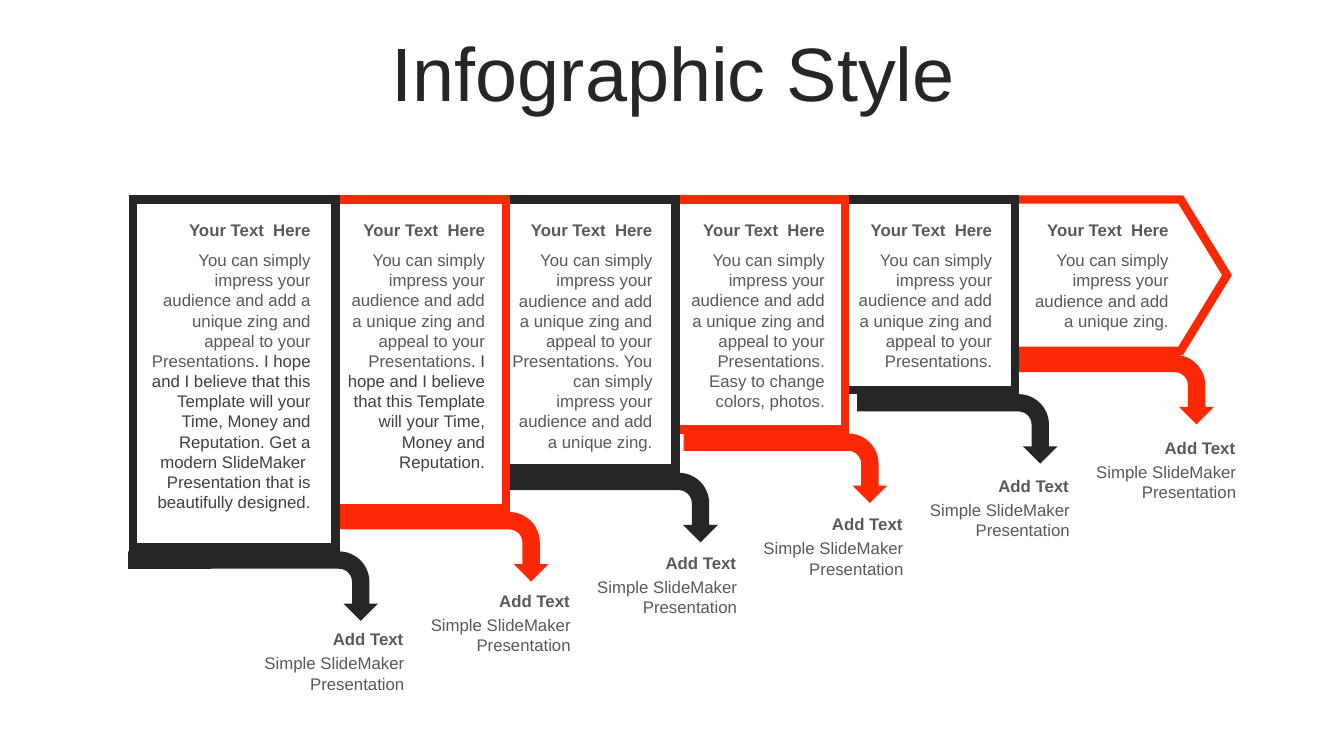
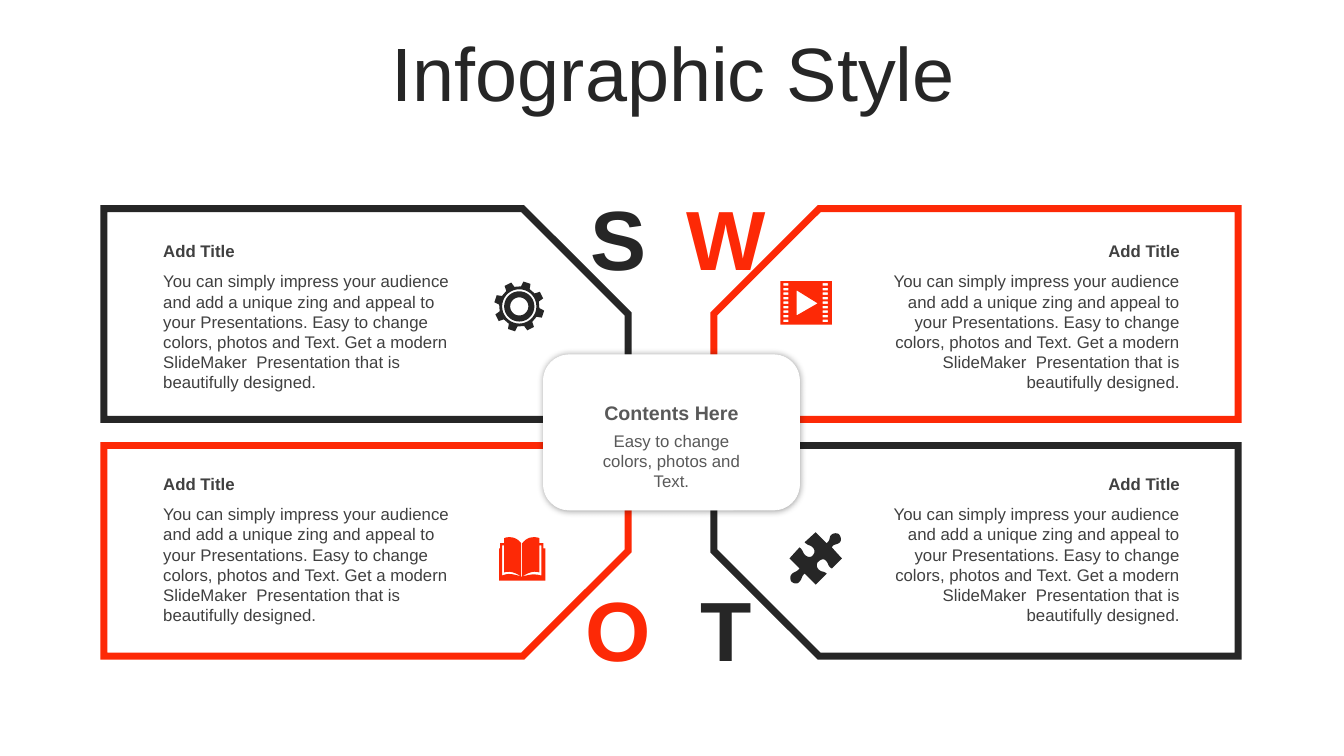
from math import cos, sin, radians
from lxml import etree
from pptx import Presentation
from pptx.dml.color import RGBColor
from pptx.enum.shapes import MSO_SHAPE
from pptx.enum.text import MSO_ANCHOR, PP_ALIGN
from pptx.oxml.ns import qn
from pptx.util import Inches, Pt

# Shared look
DARK, RED, WHITE, GREY, SOFT = "262626", "FD2906", "FFFFFF", "595959", "404040"
FONT = "Arial"
LEFT, MID, RIGHT = PP_ALIGN.LEFT, PP_ALIGN.CENTER, PP_ALIGN.RIGHT
TITLE = "Infographic Style"

# Slide 1 content: panel left, panel right, text left, text width, arrow length, runs
ZING = "You can simply impress your audience and add a unique zing"
APPEAL = ZING + " and appeal to your Presentations"
HOPE = ". I hope and I believe that this Template will your Time, Money and Reputation."
MODERN = " Get a modern SlideMaker  Presentation that is beautifully designed."
STEPS = [
    (1.32, 3.33, 1.39, 1.79, 2.48, [(APPEAL, GREY), (HOPE + MODERN, SOFT)]),
    (2.85, 5.02, 3.31, 1.60, 2.17, [(APPEAL, GREY), (HOPE, SOFT)]),
    (4.53, 6.70, 4.98, 1.59, 2.10, [(f"{APPEAL}. {ZING}.", GREY)]),
    (6.21, 8.38, 6.66, 1.62, 2.02, [(APPEAL + ". Easy to change colors, photos.", GREY)]),
    (7.90, 10.07, 8.37, 1.57, 1.99, [(APPEAL + ".", GREY)]),
    (9.84, 12.17, 10.10, 1.59, 1.97, [(ZING + ".", GREY)]),
]
STEP_HEAD = "Your Text  Here"
NOTE_HEAD, NOTE = "Add Text", "SlideMaker"
NOTE = f"Simple {NOTE} Presentation"

# Slide 2 content: letter, column, row, colour
SWOT = [("S", 0, 0, DARK), ("W", 1, 0, RED), ("O", 0, 1, RED), ("T", 1, 1, DARK)]
SWOT_HEAD = "Add Title"
SWOT_TEXT = APPEAL + ". Easy to change colors, photos and Text." + MODERN
HUB_HEAD, HUB_TEXT = "Contents Here", "Easy to change colors, photos and Text."

# Icon outlines: a pair is a line end, six numbers are a curve
BOOK = [
    (5.17, 5.72), (5.18, 5.72), (5.26, 5.7, 5.29, 5.69, 5.37, 5.71),
    (5.37, 5.41), (5.35, 5.41), (5.35, 5.68), (5.3, 5.66, 5.24, 5.68, 5.18, 5.72),
    (5.18, 5.39), (5.21, 5.35, 5.25, 5.33, 5.29, 5.33),
    (5.31, 5.33, 5.33, 5.33, 5.35, 5.34), (5.35, 5.39), (5.39, 5.39),
    (5.39, 5.44), (5.41, 5.44), (5.41, 5.76), (4.95, 5.76), (4.95, 5.44),
    (4.96, 5.44), (4.96, 5.39), (5, 5.39), (5, 5.34),
    (5.02, 5.33, 5.04, 5.33, 5.06, 5.33), (5.1, 5.33, 5.14, 5.35, 5.17, 5.39),
    (5.17, 5.72), (5.11, 5.68, 5.05, 5.66, 5, 5.68), (5, 5.41), (4.98, 5.41),
    (4.98, 5.71), (5.05, 5.68, 5.1, 5.7, 5.17, 5.72),
]
PUZZLE = [
    (8.32, 5.3), (8.34, 5.32, 8.35, 5.36, 8.33, 5.38),
    (8.3, 5.41, 8.27, 5.39, 8.25, 5.43), (8.35, 5.54), (8.25, 5.64),
    (8.21, 5.62, 8.22, 5.59, 8.19, 5.56), (8.17, 5.54, 8.14, 5.55, 8.12, 5.57),
    (8.1, 5.58, 8.09, 5.62, 8.12, 5.65), (8.15, 5.68, 8.16, 5.66, 8.2, 5.69),
    (8.09, 5.8), (7.98, 5.69), (7.94, 5.73, 7.96, 5.74, 7.93, 5.77),
    (7.91, 5.8, 7.87, 5.79, 7.85, 5.77), (7.84, 5.76, 7.83, 5.72, 7.85, 5.7),
    (7.87, 5.67, 7.9, 5.68, 7.93, 5.64), (7.83, 5.54), (7.93, 5.43),
    (7.97, 5.46, 7.96, 5.49, 7.99, 5.51), (8.01, 5.53, 8.05, 5.53, 8.06, 5.51),
    (8.08, 5.49, 8.09, 5.46, 8.06, 5.43), (8.03, 5.4, 8.02, 5.42, 7.98, 5.38),
    (8.09, 5.28), (8.2, 5.39), (8.24, 5.35, 8.22, 5.34, 8.24, 5.31),
    (8.27, 5.28, 8.31, 5.29, 8.32, 5.3),
]


def color(code):
    return RGBColor.from_string(code)


def paint(item, fill, line=None, width=0):
    item.shadow.inherit = False
    item.fill.solid()
    item.fill.fore_color.rgb = color(fill)
    if line:
        item.line.color.rgb = color(line)
        item.line.width = Pt(width)
        miter = etree.SubElement(item.line._get_or_add_ln(), qn("a:miter"))
        miter.set("lim", "800000")
    else:
        item.line.fill.background()
    return item


def shape(slide, kind, x, y, w, h, fill, line=None, width=0, adj=None):
    item = slide.shapes.add_shape(kind, Inches(x), Inches(y), Inches(w), Inches(h))
    if adj is not None:
        item.adjustments[0] = adj
    return paint(item, fill, line, width)


def text(slide, x, y, w, h, runs, size=12, bold=False, align=LEFT,
         anchor=MSO_ANCHOR.TOP, before=0, spacing=1.0):
    box = slide.shapes.add_textbox(Inches(x), Inches(y), Inches(w), Inches(h))
    frame = box.text_frame
    frame.word_wrap = True
    frame.vertical_anchor = anchor
    para = frame.paragraphs[0]
    para.alignment = align
    para.space_before = Pt(before)
    para.line_spacing = spacing
    for words, code in runs:
        run = para.add_run()
        run.text = words
        run.font.name = FONT
        run.font.size = Pt(size)
        run.font.bold = bold
        run.font.color.rgb = color(code)


def start(deck):
    slide = deck.slides.add_slide(deck.slide_layouts[6])
    text(slide, 0.35, 0.37, 12.66, 0.79, [(TITLE, DARK)], 54, align=MID,
         anchor=MSO_ANCHOR.MIDDLE, before=10, spacing=0.9)
    return slide


# Icon geometry
def trace(nodes, count=6):
    points = [nodes[0]]
    for node in nodes[1:]:
        if len(node) == 2:
            points.append(node)
            continue
        ends = [points[-1], node[:2], node[2:4], node[4:]]
        for step in range(1, count + 1):
            t = step / count
            mix = ((1 - t) ** 3, 3 * t * (1 - t) ** 2, 3 * t * t * (1 - t), t ** 3)
            points.append(tuple(sum(m * p[axis] for m, p in zip(mix, ends))
                                for axis in (0, 1)))
    return points


def polar(x, y, radius, angle):
    return x + radius * cos(radians(angle)), y + radius * sin(radians(angle))


def gear(x, y):
    teeth = [polar(x, y, radius, 18 + 45 * tooth + turn) for tooth in range(8)
             for radius, turn in ((0.2, -13), (0.25, -8.5), (0.25, 8.5), (0.2, 13))]
    rings = [[polar(x, y, radius, angle) for angle in range(0, 360, 10)]
             for radius in (0.17, 0.15, 0.09)]
    return [teeth] + rings


def block(x, y, w, h):
    return [(x, y), (x + w, y), (x + w, y + h), (x, y + h)]


def film(x, y):
    holes = [block(x + dx, y + 0.02 + 0.045 * row, 0.05, 0.025)
             for row in range(9) for dx in (0.03, 0.42)]
    play = [(x + 0.16, y + 0.09), (x + 0.16, y + 0.34), (x + 0.37, y + 0.22)]
    return [block(x, y, 0.51, 0.43), play] + holes


def icon(slide, loops, fill):
    pen = None
    for loop in loops:
        spots = [(Inches(x), Inches(y)) for x, y in loop]
        if pen is None:
            pen = slide.shapes.build_freeform(*spots[0])
        else:
            pen.move_to(*spots[0])
        pen.add_line_segments(spots[1:], close=True)
    paint(pen.convert_to_shape(), fill)


def steps(deck):
    slide = start(deck)
    top, thick, reach = 1.98, 0.69, 0.42
    plan = [(index, 5.43 - 0.39 * index, (DARK, RED)[index % 2], step)
            for index, step in enumerate(STEPS)]
    # Arrows below the panels; the last panel is a pointer
    for index, base, tone, (_, right, _, _, size, _) in plan:
        tip = right + reach if index < 5 else 12.04
        arrow = shape(slide, MSO_SHAPE.BENT_ARROW, tip - (size + thick) / 2,
                      base + 0.04 + (thick - size) / 2, thick, size, tone)
        arrow.rotation = 90
    # Panels, each over the one to its right
    for index, base, tone, (left, right, *_) in reversed(plan):
        last = index == 5
        kind = MSO_SHAPE.PENTAGON if last else MSO_SHAPE.RECTANGLE
        shape(slide, kind, left, top, right - left, base - top, WHITE, tone, 6,
              0.306 if last else None)
    # Panel text and stepped captions
    for index, base, _, (_, _, x, w, _, runs) in plan:
        text(slide, x, 2.13, w, 0.3, [(STEP_HEAD, GREY)], bold=True, align=RIGHT)
        text(slide, x, 2.43, w, base - 2.7, runs, align=RIGHT)
        x, y = 2.25 + 1.65 * index, 6.19 - 0.38 * index
        text(slide, x, y, 1.85, 0.3, [(NOTE_HEAD, GREY)], bold=True, align=RIGHT)
        text(slide, x + 0.01, y + 0.24, 1.85, 0.5, [(NOTE, GREY)], align=RIGHT)


def glow(item):
    effects = item.element.spPr.find(qn("a:effectLst"))
    shade = etree.SubElement(effects, qn("a:outerShdw"), blurRad=str(Pt(5)), dist="0")
    tint = etree.SubElement(shade, qn("a:srgbClr"), val="000000")
    etree.SubElement(tint, qn("a:alpha"), val="40000")


def swot(deck):
    slide = start(deck)
    # Snipped frames, mirrored around the centre
    for _, col, row, tone in SWOT:
        frame = shape(slide, MSO_SHAPE.SNIP_1_RECTANGLE, 1.03 + 6.05 * col,
                      2.07 + 2.35 * row, 5.2, 2.09, WHITE, tone, 5, 0.5)
        xfrm = frame.element.spPr.get_or_add_xfrm()
        xfrm.set("flipH", str(col))
        xfrm.set("flipV", str(row))
    # Centre card
    glow(shape(slide, MSO_SHAPE.ROUNDED_RECTANGLE, 5.39, 3.52, 2.54, 1.54,
               WHITE, WHITE, 0.5))
    text(slide, 5.74, 3.93, 1.84, 0.28, [(HUB_HEAD, GREY)], 14, True, MID, before=3)
    text(slide, 5.74, 4.22, 1.84, 0.43, [(HUB_TEXT, GREY)], align=MID, before=2)
    # Letters and text
    for letter, col, row, tone in SWOT:
        text(slide, 5.59 + 1.07 * col, 1.79 + 3.88 * row, 1.08, 1.11,
             [(letter, tone)], 60, True, MID, MSO_ANCHOR.MIDDLE)
        x, y, align = 1.52 + 7.07 * col, 2.34 + 2.31 * row, (LEFT, RIGHT)[col]
        text(slide, x, y, 3.21, 0.3, [(SWOT_HEAD, SOFT)], bold=True, align=align)
        text(slide, x, y + 0.3, 3.21, 1.31, [(SWOT_TEXT, SOFT)], align=align)
    # Icons
    icons = [gear(5.15, 3.04), film(7.74, 2.79), [trace(BOOK)], [trace(PUZZLE)]]
    for loops, (_, _, _, tone) in zip(icons, SWOT):
        icon(slide, loops, tone)


def main():
    deck = Presentation()
    deck.slide_width, deck.slide_height = Inches(13.33), Inches(7.5)
    steps(deck)
    swot(deck)
    deck.save("out.pptx")


if __name__ == "__main__":
    main()
